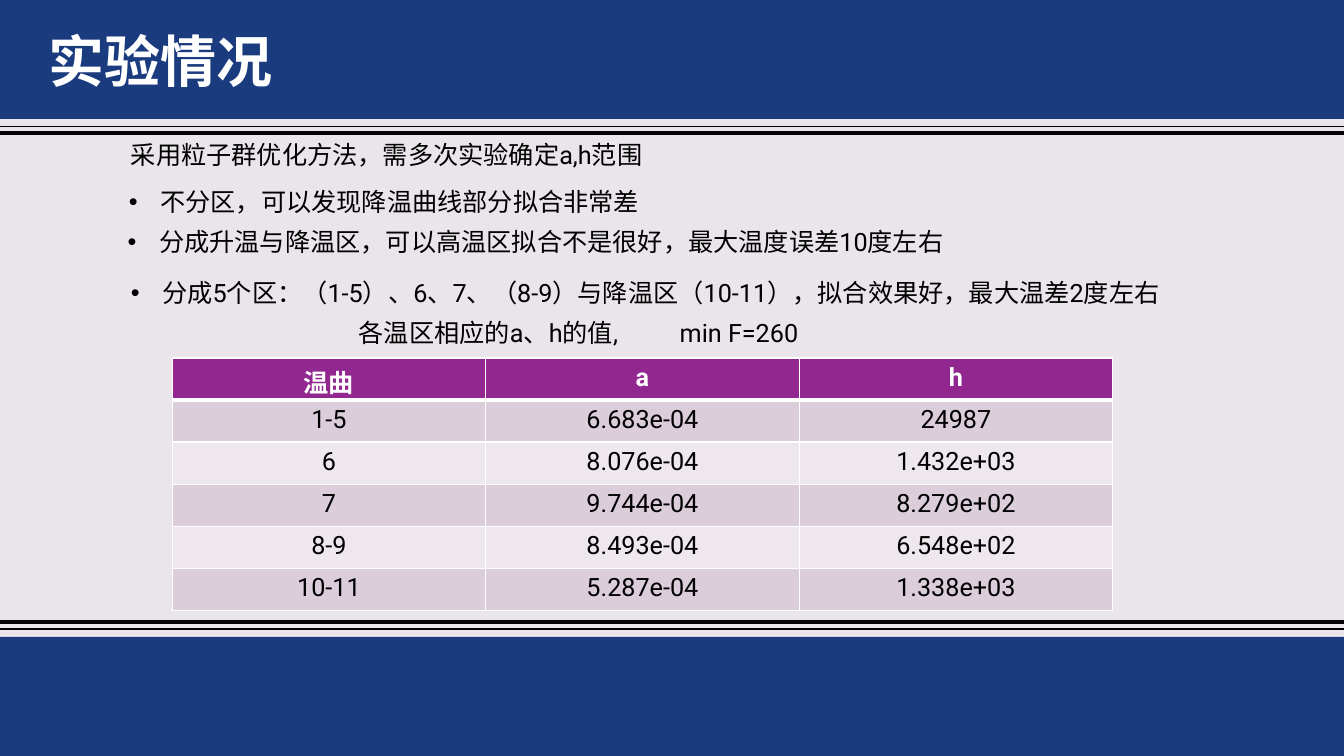
from dataclasses import dataclass

from lxml.etree import SubElement
from pptx import Presentation
from pptx.dml.color import RGBColor
from pptx.enum.shapes import MSO_CONNECTOR, MSO_SHAPE
from pptx.enum.text import MSO_ANCHOR, PP_ALIGN
from pptx.oxml import parse_xml
from pptx.oxml.ns import nsdecls, qn
from pptx.util import Cm, Pt


@dataclass(frozen=True)
class Theme:
    background: str = "EAE5EB"
    band: str = "1B3B7F"
    black: str = "000000"
    white: str = "FFFFFF"
    header: str = "92278F"
    odd_row: str = "DCCDDB"
    even_row: str = "EEE8EE"
    title_size: int = 40
    body_size: int = 18
    latin: str = "Roboto"
    chinese: str = "Noto Sans CJK SC"


theme = Theme()


def add_run(paragraph, text, color, size=theme.body_size, bold=False, latin=theme.latin):
    run = paragraph.add_run()
    run.text = text
    run.font.name = latin
    run.font.size = Pt(size)
    run.font.bold = bold
    run.font.color.rgb = RGBColor.from_string(color)
    SubElement(run.font._element, qn("a:ea"), typeface=theme.chinese)


def add_text(left, top, width, text):
    shape = slide.shapes.add_textbox(Cm(left), Cm(top), Cm(width), Cm(1.02))
    shape.text_frame.word_wrap = True
    paragraph = shape.text_frame.paragraphs[0]
    add_run(paragraph, text, theme.black)
    return paragraph._p.get_or_add_pPr()


presentation = Presentation()
presentation.slide_width = Cm(33.87)
presentation.slide_height = Cm(19.05)
slide = presentation.slides.add_slide(presentation.slide_layouts[5])
slide.background.fill.solid()
slide.background.fill.fore_color.rgb = RGBColor.from_string(theme.background)

for top, weight in [(15.67, 3), (15.85, 1), (3.35, 3), (3.18, 1)]:
    line = slide.shapes.add_connector(
        MSO_CONNECTOR.STRAIGHT, 0, Cm(top), presentation.slide_width, Cm(top)
    )
    line.line.color.rgb = RGBColor.from_string(theme.black)
    line.line.width = Pt(weight)
    SubElement(line.element.spPr, qn("a:effectLst"))

for top in (16.05, 0):
    band = slide.shapes.add_shape(
        MSO_SHAPE.RECTANGLE, 0, Cm(top), presentation.slide_width, Cm(3)
    )
    band.shadow.inherit = False
    band.fill.solid()
    band.fill.fore_color.rgb = RGBColor.from_string(theme.band)
    band.line.fill.background()

title = slide.shapes.title
title.left, title.top, title.width, title.height = Cm(0.97), Cm(0.53), Cm(21.46), Cm(1.96)
title.text_frame.vertical_anchor = MSO_ANCHOR.TOP
title_paragraph = title.text_frame.paragraphs[0]
title_paragraph.alignment = PP_ALIGN.LEFT
add_run(title_paragraph, "实验情况", theme.white, theme.title_size, True, theme.chinese)
title.element.getparent().append(title.element)

add_text(3.05, 3.38, 23.04, "采用粒子群优化方法，需多次实验确定a,h范围")

bullets = [
    (3.0, 4.57, 23.04, "不分区，可以发现降温曲线部分拟合非常差"),
    (2.97, 5.59, 23.04, "分成升温与降温区，可以高温区拟合不是很好，最大温度误差10度左右"),
    (3.05, 6.86, 29.13,
     "分成5个区：（1-5）、6、7、（8-9）与降温区（10-11），拟合效果好，最大温差2度左右"),
]
for left, top, width, text in bullets:
    properties = add_text(left, top, width, text)
    properties.set("marL", str(Cm(0.79)))
    properties.set("indent", str(-Cm(0.79)))
    SubElement(properties, qn("a:buFont"), typeface="Arial")
    SubElement(properties, qn("a:buChar"), char="•")

caption = add_text(8.79, 7.87, 15.6, "各温区相应的a、h的值,\tmin F=260")
tabs = SubElement(caption, qn("a:tabLst"))
SubElement(tabs, qn("a:tab"), pos=str(Cm(8.09)), algn="l")

rows = [
    ("温曲", "a", "h"),
    ("1-5", "6.683e-04", "24987"),
    ("6", "8.076e-04", "1.432e+03"),
    ("7", "9.744e-04", "8.279e+02"),
    ("8-9", "8.493e-04", "6.548e+02"),
    ("10-11", "5.287e-04", "1.338e+03"),
]
table = slide.shapes.add_table(
    len(rows), 3, Cm(4.34), Cm(9.02), Cm(23.7), Cm(6.36)
).table
for row_index, values in enumerate(rows):
    is_header = row_index == 0
    fill = theme.header if is_header else (theme.even_row, theme.odd_row)[row_index % 2]
    borders = {
        "lnL": 1,
        "lnR": 1,
        "lnT": 3 if row_index == 1 else 1,
        "lnB": 3 if is_header else 1,
    }
    for column_index, value in enumerate(values):
        cell = table.cell(row_index, column_index)
        cell.fill.solid()
        cell.fill.fore_color.rgb = RGBColor.from_string(fill)
        paragraph = cell.text_frame.paragraphs[0]
        paragraph.alignment = PP_ALIGN.CENTER
        add_run(paragraph, value, theme.white if is_header else theme.black, bold=is_header)
        cell_properties = cell._tc.get_or_add_tcPr()
        for position, (side, weight) in enumerate(borders.items()):
            cell_properties.insert(position, parse_xml(
                f'<a:{side} {nsdecls("a")} w="{Pt(weight)}"><a:solidFill>'
                f'<a:srgbClr val="{theme.white}"/></a:solidFill></a:{side}>'
            ))

presentation.save("out.pptx")
